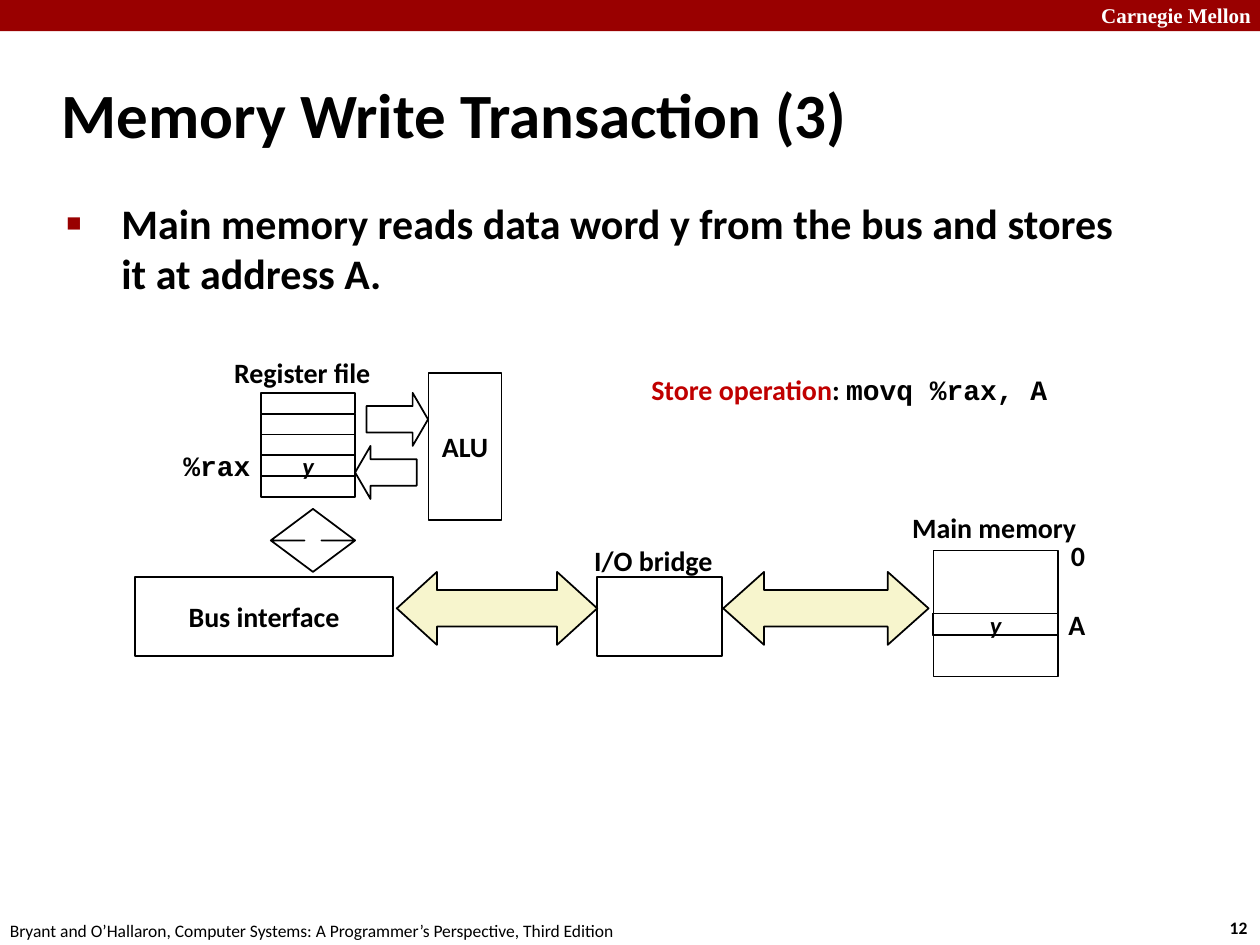
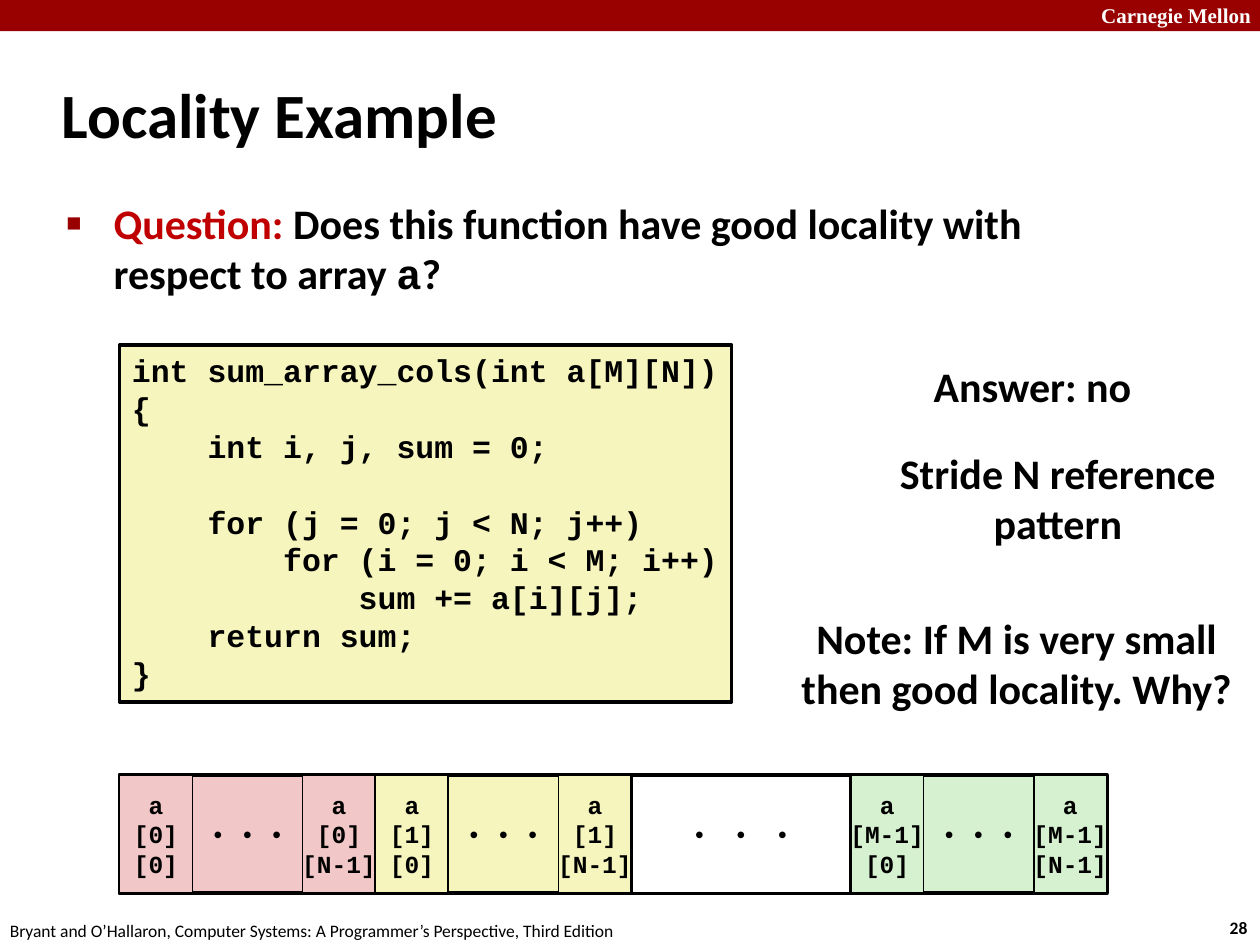
from lxml import etree
from pptx import Presentation
from pptx.dml.color import RGBColor
from pptx.enum.shapes import MSO_SHAPE
from pptx.enum.text import MSO_ANCHOR, MSO_AUTO_SIZE, PP_ALIGN
from pptx.oxml.ns import qn
from pptx.util import Cm, Pt

RECT = MSO_SHAPE.RECTANGLE
WIDE = MSO_SHAPE.LEFT_RIGHT_ARROW
TALL = MSO_SHAPE.UP_DOWN_ARROW
EAST = MSO_SHAPE.RIGHT_ARROW
WEST = MSO_SHAPE.LEFT_ARROW
LEFT, MID = PP_ALIGN.LEFT, PP_ALIGN.CENTER
TOP, HALF = MSO_ANCHOR.TOP, MSO_ANCHOR.MIDDLE
FIXED = MSO_AUTO_SIZE.NONE

SANS, MONO, SERIF = "Calibri", "Courier New", "Times New Roman"
BLACK, WHITE, BAND, RED = "000000", "FFFFFF", "990000", "C00000"
BUS, CREAM, PINK, GREEN = "F7F5CD", "F6F5BD", "F1C7C7", "D5F1CF"
shade = RGBColor.from_string


def write(frame, paras, size=16, face=SANS, ink=BLACK, bold=True, italic=False,
          align=LEFT, anchor=TOP, wrap=False):
    """Fill a frame; a paragraph is a string or a list of (text, ink, face)."""
    frame.auto_size, frame.word_wrap = FIXED, wrap
    frame.vertical_anchor = anchor
    for n, para in enumerate(paras):
        line = frame.paragraphs[0] if n == 0 else frame.add_paragraph()
        line.alignment = align
        runs = [(para, ink, face)] if isinstance(para, str) else para
        for text, hue, name in runs:
            run = line.add_run()
            run.text = text
            look = {"size": Pt(size), "name": name, "bold": bold, "italic": italic}
            for key, val in look.items():
                setattr(run.font, key, val)
            run.font.color.rgb = shade(hue)


def draw(slide, kind, at, fill=None, width=1, adj=()):
    """Add a preset shape with a black line, or none when width is 0."""
    shape = slide.shapes.add_shape(kind, *map(Cm, at))
    shape.shadow.inherit = False
    if fill:
        shape.fill.solid()
        shape.fill.fore_color.rgb = shade(fill)
    else:
        shape.fill.background()
    if width:
        shape.line.color.rgb = shade(BLACK)
        shape.line.width = Pt(width)
    else:
        shape.line.fill.background()
    for n, val in enumerate(adj):
        shape.adjustments[n] = val
    return shape


deck = Presentation()
deck.slide_width, deck.slide_height = Cm(25.4), Cm(19.05)

# Shared parts: band, footer, number, title and bullet
pages = [
    ("12", "Memory Write Transaction (3)", 1.11,
     [("Main memory reads data word y from the bus and stores it at address A.",
       BLACK, SANS)]),
    ("28", "Locality Example", 0.95,
     [("Question: ", RED, SANS),
      ("Does this function have good locality with respect to array ", BLACK, SANS),
      ("a", BLACK, MONO), ("?", BLACK, SANS)]),
]
slides = []
for num, head, dent, point in pages:
    slide = deck.slides.add_slide(deck.slide_layouts[5])
    slides.append(slide)
    draw(slide, RECT, (0, 0, 25.4, 0.63), BAND, 0)
    for at, text, look in [
        ((21.95, -0.08, 3.63, 0.76), "Carnegie Mellon",
         {"size": 12, "face": SERIF, "ink": WHITE}),
        ((24.54, 18.36, 0.94, 0.69), num, {"size": 10}),
        ((-0.05, 18.42, 12.9, 0.69),
         "Bryant and O’Hallaron, Computer Systems: A Programmer’s Perspective, "
         "Third Edition", {"size": 10, "bold": False}),
    ]:
        box = slide.shapes.add_textbox(*map(Cm, at))
        write(box.text_frame, [text], **look)

    title = slide.shapes.title
    title.left, title.top, title.width, title.height = map(Cm, (0.99, 1.22, 21.08, 2.11))
    write(title.text_frame, [head], size=36, anchor=HALF, wrap=True)

    body = slide.shapes.add_textbox(Cm(1.09), Cm(3.85), Cm(21.95), Cm(2.4))
    props = body.text_frame.paragraphs[0]._p.get_or_add_pPr()
    props.set("marL", str(Cm(dent)))
    props.set("indent", str(-Cm(dent)))
    tint = etree.SubElement(props, qn("a:buClr"))
    etree.SubElement(tint, qn("a:srgbClr"), val=BAND)
    etree.SubElement(props, qn("a:buSzPct"), val="60000")
    etree.SubElement(props, qn("a:buFont"), typeface="Arial")
    etree.SubElement(props, qn("a:buChar"), char="■")
    write(body.text_frame, [point], size=24, wrap=True)

bus, local = slides

# Memory, bridge and the bus arrows
draw(bus, RECT, (18.82, 11.1, 2.51, 2.54))
draw(bus, WIDE, (14.58, 11.53, 4.14, 1.47), BUS, adj=(0.5, 0.56))
draw(bus, RECT, (12.04, 11.63, 2.51, 1.6))
draw(bus, WIDE, (8, 11.53, 4.04, 1.47), BUS, adj=(0.5, 0.55))
word = draw(bus, RECT, (18.8, 12.37, 2.54, 0.43))

# Register file, with y in its fourth row
for row in range(5):
    cell = draw(bus, RECT, (5.26, 7.92 + 0.42 * row, 1.9, 0.42))
    if row == 3:
        reg = cell
for cell in (reg, word):
    write(cell.text_frame, ["y"], size=14, italic=True, align=MID, anchor=HALF)

# Processor blocks and arrows
draw(bus, EAST, (7.39, 7.92, 1.24, 1.07), adj=(0.5, 0.29))
draw(bus, WEST, (7.16, 8.99, 1.24, 1.07), adj=(0.5, 0.29))
draw(bus, TALL, (5.46, 10.26, 1.7, 1.27), adj=(0.5, 0.2))
for at, fill, text in [((8.64, 7.52, 1.47, 2.97), None, "ALU"),
                       ((2.72, 11.63, 5.21, 1.6), WHITE, "Bus interface")]:
    block = draw(bus, RECT, at, fill)
    write(block.text_frame, [text], align=MID, anchor=HALF)

# Diagram labels
for x, y, wide, text, face in [
    (4.47, 7.04, 3.3, "Register file", SANS),
    (18.14, 10.16, 3.86, "Main memory", SANS),
    (21.34, 10.72, 0.81, "0", SANS),
    (21.29, 12.12, 0.86, "A", SANS),
    (3.45, 8.92, 1.88, "%rax", MONO),
    (11.73, 10.82, 2.92, "I/O bridge", SANS),
]:
    label = bus.shapes.add_textbox(Cm(x), Cm(y), Cm(wide), Cm(0.94))
    write(label.text_frame, [text], face=face, anchor=HALF)
store = bus.shapes.add_textbox(Cm(12.88), Cm(7.39), Cm(8.61), Cm(1.63))
write(store.text_frame, [[("Store operation", RED, SANS), (": ", BLACK, SANS),
                          ("movq %rax, A", BLACK, MONO)]])

# Code listing
CODE = """int sum_array_cols(int a[M][N])
{
    int i, j, sum = 0;

    for (j = 0; j < N; j++)
        for (i = 0; i < M; i++)
            sum += a[i][j];
    return sum;
}"""
code = draw(local, RECT, (2.41, 6.96, 12.34, 7.19), CREAM, 2)
write(code.text_frame, CODE.split("\n"), size=18, face=MONO)

# Answers
for at, lines in [
    ((18.54, 7.14, 4.55, 1.27), ["Answer: no"]),
    ((17.86, 8.89, 6.93, 2.31), ["Stride N reference", "pattern"]),
    ((15.82, 12.22, 9.35, 2.31), ["Note: If M is very small", "then good locality. Why?"]),
]:
    note = local.shapes.add_textbox(*map(Cm, at))
    write(note.text_frame, lines, size=24, align=MID)

# Array layout: three rows, with a gap before the last
X, Y, ROW, CELL, GAP, HIGH = 2.41, 15.62, 5.16, 1.47, 4.42, 2.39
mono = {"size": 14, "face": MONO, "align": MID, "anchor": HALF}
for x, fill, row in [(X, PINK, "[0]"), (X + ROW, CREAM, "[1]"),
                     (X + 2 * ROW + GAP, GREEN, "[M-1]")]:
    strip = draw(local, RECT, (x, Y, ROW, HIGH), fill, 2.25)
    write(strip.text_frame, ["• • •"], bold=False, **mono)
    for left, col in [(x, "[0]"), (x + ROW - CELL, "[N-1]")]:
        cell = draw(local, RECT, (left, Y, CELL, HIGH), fill)
        write(cell.text_frame, ["a", row, col], **mono)
gap = draw(local, RECT, (X + 2 * ROW, Y, GAP, HIGH), WHITE, 2)
write(gap.text_frame, ["• • •"], bold=False, **mono)
gap.text_frame.paragraphs[0].runs[0]._r.get_or_add_rPr().set("spc", "350")

deck.save("out.pptx")
